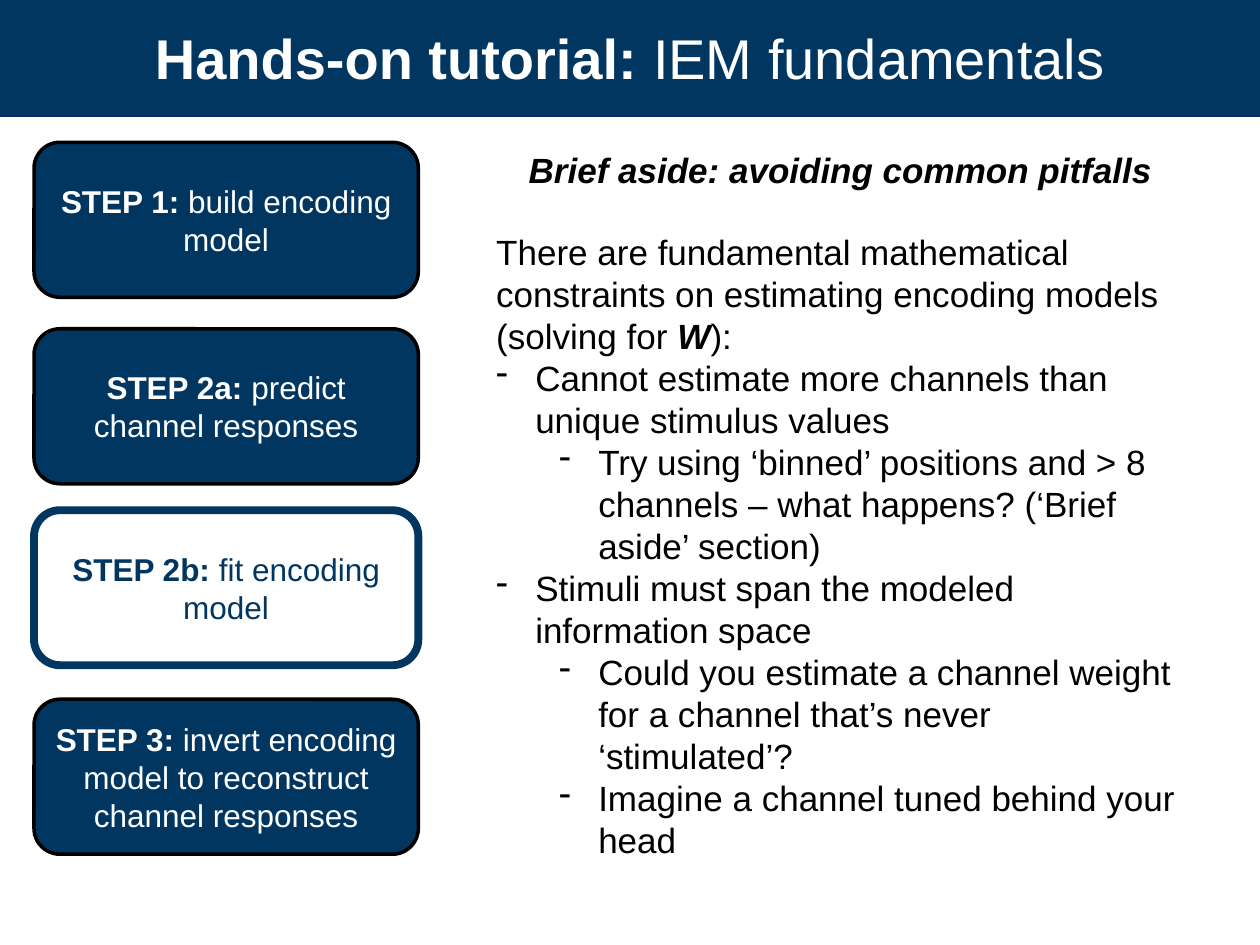
from dataclasses import dataclass

from lxml.etree import SubElement
from pptx import Presentation
from pptx.dml.color import RGBColor
from pptx.enum.shapes import MSO_CONNECTOR, MSO_SHAPE
from pptx.enum.text import MSO_ANCHOR, MSO_AUTO_SIZE, PP_ALIGN
from pptx.oxml.ns import qn
from pptx.util import Inches, Pt


@dataclass(frozen=True)
class Theme:
    """Colours, font and type sizes of the slide."""
    navy: RGBColor = RGBColor(0x00, 0x36, 0x60)
    rule: RGBColor = RGBColor(0x00, 0x2D, 0x6A)
    white: RGBColor = RGBColor(0xFF, 0xFF, 0xFF)
    black: RGBColor = RGBColor(0x00, 0x00, 0x00)
    font: str = "Arial"
    title_size: int = 32
    body_size: int = 20
    step_size: int = 18


THEME = Theme()

STEPS = [
    (1.13, "STEP 1:", " build encoding model", False),
    (2.61, "STEP 2a:", " predict channel responses", False),
    (4.05, "STEP 2b:", " fit encoding model", True),
    (5.55, "STEP 3:", " invert encoding model to reconstruct channel responses", False),
]

INTRODUCTION = [
    ("There are fundamental mathematical constraints on estimating "
     "encoding models (solving for ", False, False),
    ("W", True, True),
    ("):", False, False),
]

PITFALLS = [
    (0, "Cannot estimate more channels than unique stimulus values"),
    (1, "Try using ‘binned’ positions and > 8 channels – what happens? "
        "(‘Brief aside’ section)"),
    (0, "Stimuli must span the modeled information space"),
    (1, "Could you estimate a channel weight for a channel that’s never ‘stimulated’?"),
    (1, "Imagine a channel tuned behind your head"),
]


def write_runs(paragraph, runs, size, color):
    """Add (text, bold, italic) runs in the theme font."""
    for text, bold, italic in runs:
        run = paragraph.add_run()
        run.text = text
        run.font.name = THEME.font
        run.font.size = Pt(size)
        run.font.bold = bold
        run.font.italic = italic
        run.font.color.rgb = color


def add_text_box(slide, left, top, width, height, wrap=True):
    """Add an empty text box and return its text frame."""
    text_frame = slide.shapes.add_textbox(
        Inches(left), Inches(top), Inches(width), Inches(height)).text_frame
    text_frame.word_wrap = wrap
    text_frame.auto_size = MSO_AUTO_SIZE.SHAPE_TO_FIT_TEXT
    return text_frame


def add_dash(paragraph, level):
    """Give a paragraph a hanging dash bullet."""
    paragraph.level = level
    properties = paragraph._p.get_or_add_pPr()
    properties.set("marL", str(Inches(0.31 + 0.5 * level)))
    properties.set("indent", str(Inches(-0.31)))
    SubElement(properties, qn("a:buFontTx"))
    SubElement(properties, qn("a:buChar")).set("char", "-")


def add_header(slide):
    """Draw the title band, its rule and the title."""
    band = slide.shapes.add_shape(
        MSO_SHAPE.RECTANGLE, 0, 0, Inches(10), Inches(0.92))
    band.shadow.inherit = False
    band.fill.solid()
    band.fill.fore_color.rgb = THEME.navy
    band.line.fill.background()

    rule = slide.shapes.add_connector(
        MSO_CONNECTOR.STRAIGHT, 0, Inches(0.92), Inches(10), Inches(0.92))
    rule.line.color.rgb = THEME.rule
    rule.line.width = Pt(1.5)
    SubElement(rule._element.spPr, qn("a:effectLst"))

    text_frame = add_text_box(slide, 0.5, -0.17, 9, 1.25)
    text_frame.auto_size = MSO_AUTO_SIZE.NONE
    text_frame.vertical_anchor = MSO_ANCHOR.MIDDLE
    paragraph = text_frame.paragraphs[0]
    paragraph.alignment = PP_ALIGN.CENTER
    runs = [("Hands-on tutorial:", True, False), (" IEM fundamentals", False, False)]
    write_runs(paragraph, runs, THEME.title_size, THEME.white)


def add_step(slide, top, label, description, current):
    """Draw one step box, inverted when it is the current step."""
    box = slide.shapes.add_shape(
        MSO_SHAPE.ROUNDED_RECTANGLE,
        Inches(0.27), Inches(top), Inches(3.05), Inches(1.23))
    box.shadow.inherit = False
    box.fill.solid()
    box.fill.fore_color.rgb = THEME.white if current else THEME.navy
    box.line.color.rgb = THEME.navy if current else THEME.black
    box.line.width = Pt(4.5 if current else 2)
    box.text_frame.vertical_anchor = MSO_ANCHOR.MIDDLE
    paragraph = box.text_frame.paragraphs[0]
    paragraph.alignment = PP_ALIGN.CENTER
    runs = [(label, True, False), (description, False, False)]
    write_runs(paragraph, runs, THEME.step_size,
               THEME.navy if current else THEME.white)


def add_aside(slide):
    """Write the heading and the list of pitfalls."""
    heading = add_text_box(slide, 4.08, 1.13, 5.18, 0.44, wrap=False).paragraphs[0]
    heading.alignment = PP_ALIGN.CENTER
    write_runs(heading, [("Brief aside: avoiding common pitfalls", True, True)],
               THEME.body_size, THEME.black)

    text_frame = add_text_box(slide, 3.84, 1.78, 5.66, 5.45)
    write_runs(text_frame.paragraphs[0], INTRODUCTION, THEME.body_size, THEME.black)
    for level, text in PITFALLS:
        paragraph = text_frame.add_paragraph()
        add_dash(paragraph, level)
        write_runs(paragraph, [(text, False, False)], THEME.body_size, THEME.black)


def main():
    """Build and save the slide."""
    presentation = Presentation()
    presentation.slide_width = Inches(10)
    presentation.slide_height = Inches(7.5)
    slide = presentation.slides.add_slide(presentation.slide_layouts[6])
    add_header(slide)
    add_aside(slide)
    for step in STEPS:
        add_step(slide, *step)
    presentation.save("out.pptx")


if __name__ == "__main__":
    main()
